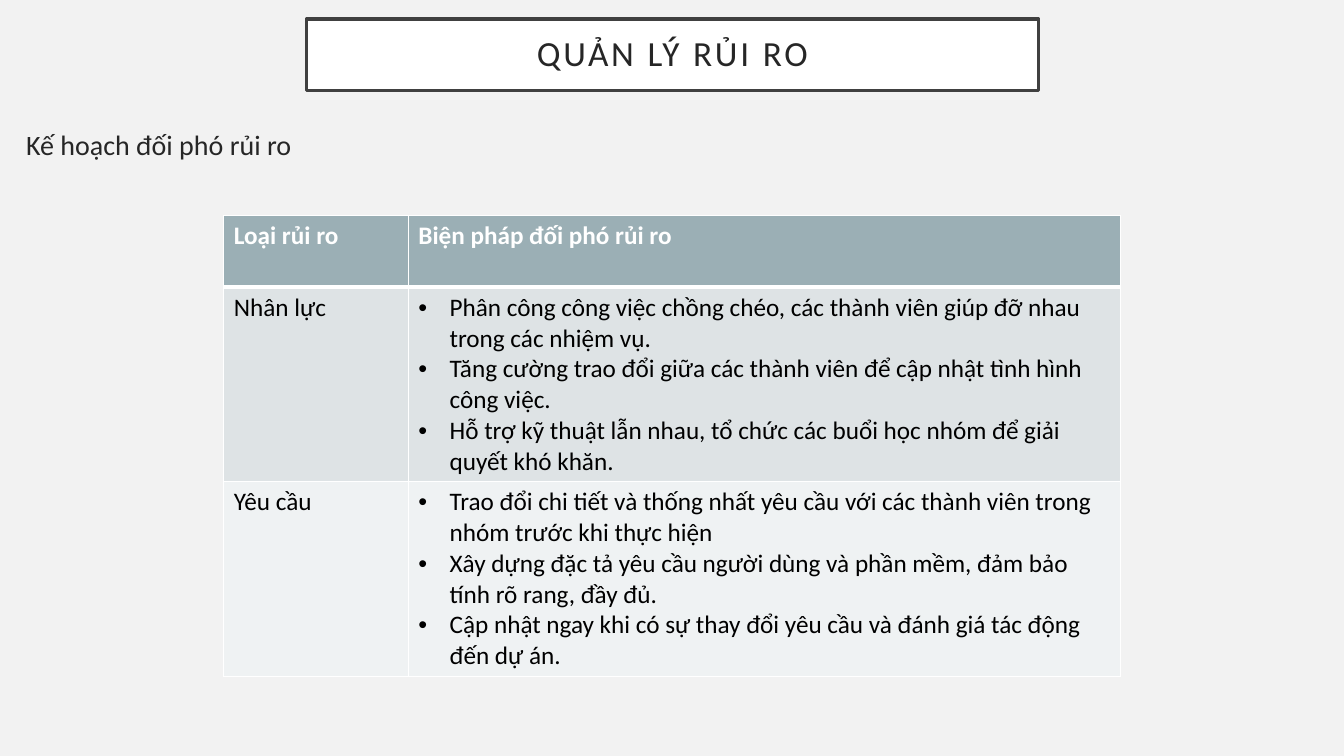
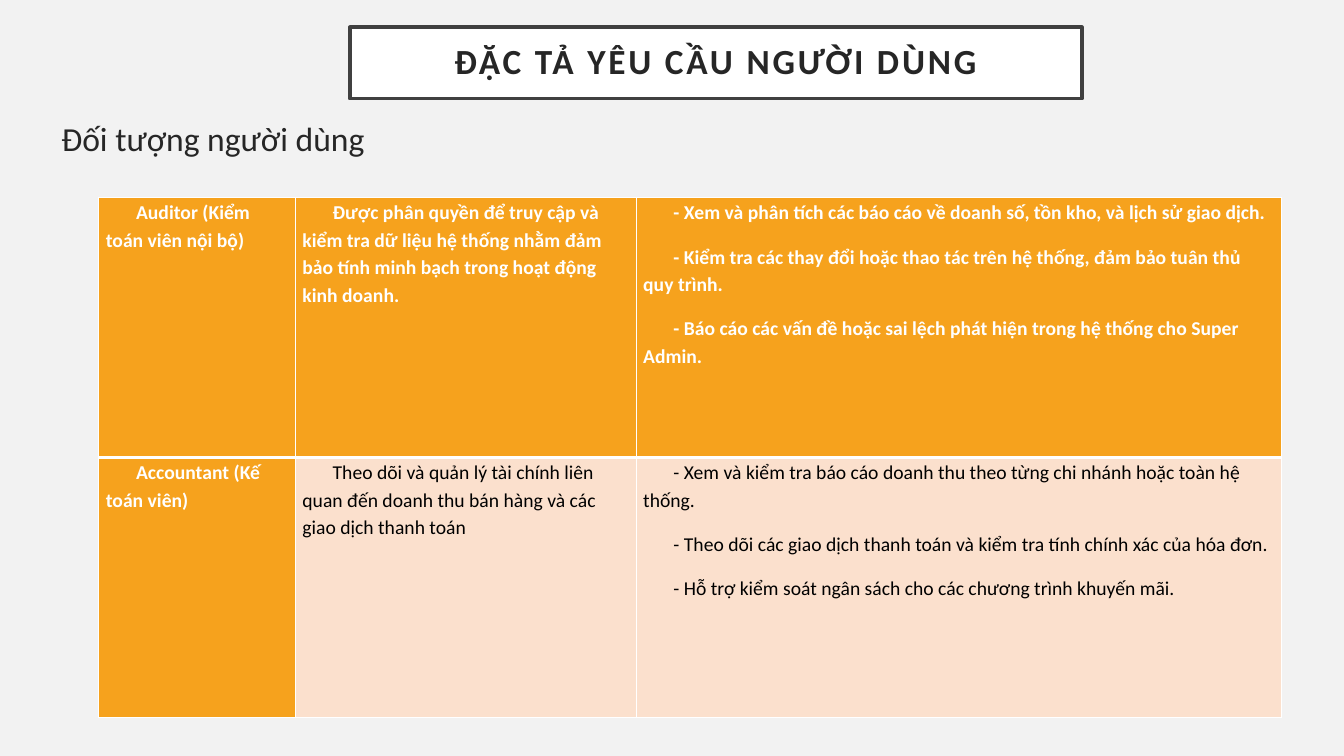
import pptx
import pptx.util
import pptx.dml.color
import pptx.enum.shapes
import pptx.enum.text
import pptx.oxml
import pptx.oxml.ns
from lxml import etree

Inches = pptx.util.Inches
Pt = pptx.util.Pt
qn = pptx.oxml.ns.qn

FONT = "Calibri"
COLORS = {
    "page": "F2F2F2",
    "white": "FFFFFF",
    "black": "000000",
    "frame": "404040",
    "ink": "262626",
    "slate": "9BAFB5",
    "slate_mid": "DEE3E5",
    "slate_pale": "EFF2F3",
    "orange": "F6A21D",
    "peach": "FBE0CD",
}
TITLE_SIZE = (7.26, 0.71)

RISK_ROWS = [
    [["Loại rủi ro"], ["Biện pháp đối phó rủi ro"]],
    [["Nhân lực"], [
        "Phân công công việc chồng chéo, các thành viên giúp đỡ nhau trong các nhiệm vụ.",
        "Tăng cường trao đổi giữa các thành viên để cập nhật tình hình công việc.",
        "Hỗ trợ kỹ thuật lẫn nhau, tổ chức các buổi học nhóm để giải quyết khó khăn.",
    ]],
    [["Yêu cầu"], [
        "Trao đổi chi tiết và thống nhất yêu cầu với các thành viên trong nhóm trước khi thực hiện",
        "Xây dựng đặc tả yêu cầu người dùng và phần mềm, đảm bảo tính rõ rang, đầy đủ.",
        "Cập nhật ngay khi có sự thay đổi yêu cầu và đánh giá tác động đến dự án.",
    ]],
]

USER_ROWS = [
    [["Auditor (Kiểm toán viên nội bộ)"], [
        "Được phân quyền để truy cập và kiểm tra dữ liệu hệ thống nhằm đảm bảo "
        "tính minh bạch trong hoạt động kinh doanh.",
    ], [
        "- Xem và phân tích các báo cáo về doanh số, tồn kho, và lịch sử giao dịch.",
        "- Kiểm tra các thay đổi hoặc thao tác trên hệ thống, đảm bảo tuân thủ quy trình.",
        "- Báo cáo các vấn đề hoặc sai lệch phát hiện trong hệ thống cho Super Admin.",
    ]],
    [["Accountant (Kế toán viên)"], [
        "Theo dõi và quản lý tài chính liên quan đến doanh thu bán hàng và các giao dịch thanh toán",
    ], [
        "- Xem và kiểm tra báo cáo doanh thu theo từng chi nhánh hoặc toàn hệ thống.",
        "- Theo dõi các giao dịch thanh toán và kiểm tra tính chính xác của hóa đơn.",
        "- Hỗ trợ kiểm soát ngân sách cho các chương trình khuyến mãi.",
    ]],
]


def rgb(name):
    return pptx.dml.color.RGBColor.from_string(COLORS[name])


def paint(target, color):
    target.fill.solid()
    target.fill.fore_color.rgb = rgb(color)


def set_margins(target, x, y):
    target.margin_left = target.margin_right = Inches(x)
    target.margin_top = target.margin_bottom = Inches(y)


def add_run(p, text, size, color, bold=False):
    r = p.add_run()
    r.text = text
    r.font.name = FONT
    r.font.size = Pt(size)
    r.font.bold = bold
    r.font.color.rgb = rgb(color)
    return r


def add_title(s, left, top, text, bold):
    sp = s.shapes.add_shape(pptx.enum.shapes.MSO_SHAPE.RECTANGLE,
                            *map(Inches, (left, top, *TITLE_SIZE)))
    sp.shadow.inherit = False
    paint(sp, "white")
    sp.line.color.rgb = rgb("frame")
    sp.line.width = Pt(2.5)
    tf = sp.text_frame
    tf.word_wrap = True
    tf.vertical_anchor = pptx.enum.text.MSO_ANCHOR.MIDDLE
    set_margins(tf, 0.2, 0.2)
    p = tf.paragraphs[0]
    p.alignment = pptx.enum.text.PP_ALIGN.CENTER
    p.line_spacing = 0.9
    r = add_run(p, text, 25.2, "ink", bold)
    r.font._element.set("spc", "200")


def add_subtitle(s, box, text, size):
    tf = s.shapes.add_textbox(*map(Inches, box)).text_frame
    tf.word_wrap = True
    p = tf.paragraphs[0]
    p.space_before = Pt(10)
    add_run(p, text, size, "ink")


def set_indent(p, left, first):
    pPr = p._p.get_or_add_pPr()
    pPr.set("marL", str(Inches(left)))
    pPr.set("indent", str(Inches(first)))
    return pPr


def style_bullet(p):
    pPr = set_indent(p, 0.31, -0.31)
    etree.SubElement(pPr, qn("a:buFont")).set("typeface", "Arial")
    etree.SubElement(pPr, qn("a:buChar")).set("char", "•")


def style_first_line(p):
    p.line_spacing = 1.15
    p.space_before = p.space_after = Pt(6)
    set_indent(p, 0, 0.3)


def set_borders(cell, bottom):
    tcPr = cell._tc.get_or_add_tcPr()
    for i, side in enumerate("LRTB"):
        width = bottom if side == "B" else 1
        ln = etree.Element(qn(f"a:ln{side}"), w=str(Pt(width)))
        fill = etree.SubElement(ln, qn("a:solidFill"))
        etree.SubElement(fill, qn("a:srgbClr")).set("val", COLORS["white"])
        tcPr.insert(i, ln)


def fill_cell(cell, texts, size, fill, header, style=None):
    paint(cell, fill)
    tf = cell.text_frame
    for i, text in enumerate(texts):
        p = tf.add_paragraph() if i else tf.paragraphs[0]
        if style:
            style(p)
        add_run(p, text, size, "white" if header else "black", header)


def add_grid(s, left, top, widths, heights):
    frame = s.shapes.add_table(len(heights), len(widths), *map(
        Inches, (left, top, sum(widths), sum(heights))))
    table = frame.table
    table.first_row = table.horz_banding = False
    for col, width in zip(table.columns, widths):
        col.width = Inches(width)
    for row, height in zip(table.rows, heights):
        row.height = Inches(height)
    return table


def add_risk_table(s, left, top):
    table = add_grid(s, left, top, [1.83, 7.06], [0.71, 1.93, 1.93])
    fills = ["slate", "slate_mid", "slate_pale"]
    for i, row in enumerate(RISK_ROWS):
        for j, texts in enumerate(row):
            cell = table.cell(i, j)
            style = style_bullet if i and j else None
            fill_cell(cell, texts, 18, fills[i], i == 0, style)
            set_borders(cell, 1 if i else 3)


def add_user_table(s, left, top):
    table = add_grid(s, left, top, [1.95, 3.38, 6.4], [2.58, 2.58])
    for i, row in enumerate(USER_ROWS):
        for j, texts in enumerate(row):
            cell = table.cell(i, j)
            header = i == 0 or j == 0
            set_margins(cell, 0.07, 0)
            fill_cell(cell, texts, 14, "orange" if header else "peach",
                      header, style_first_line)
            set_borders(cell, 1 if i else 3)


def add_slide(prs):
    s = prs.slides.add_slide(prs.slide_layouts[6])
    paint(s.background, "page")
    return s


def build_risk_slide(prs):
    s = add_slide(prs)
    add_title(s, 3.04, 0.19, "QUẢN LÝ RỦI RO", False)
    add_subtitle(s, (0.16, 1.22, 2.87, 0.71), "Kế hoạch đối phó rủi ro", 20)
    add_risk_table(s, 2.22, 2.14)


def build_user_slide(prs):
    s = add_slide(prs)
    add_title(s, 3.47, 0.27, "ĐẶC TẢ YÊU CẦU NGƯỜI DÙNG", True)
    add_subtitle(s, (0.51, 1.12, 5.47, 0.71), "Đối tượng người dùng", 24)
    add_user_table(s, 0.98, 1.96)


def main():
    prs = pptx.Presentation()
    prs.slide_width = Inches(13.33)
    prs.slide_height = Inches(7.5)
    build_risk_slide(prs)
    build_user_slide(prs)
    prs.save("out.pptx")


if __name__ == "__main__":
    main()
